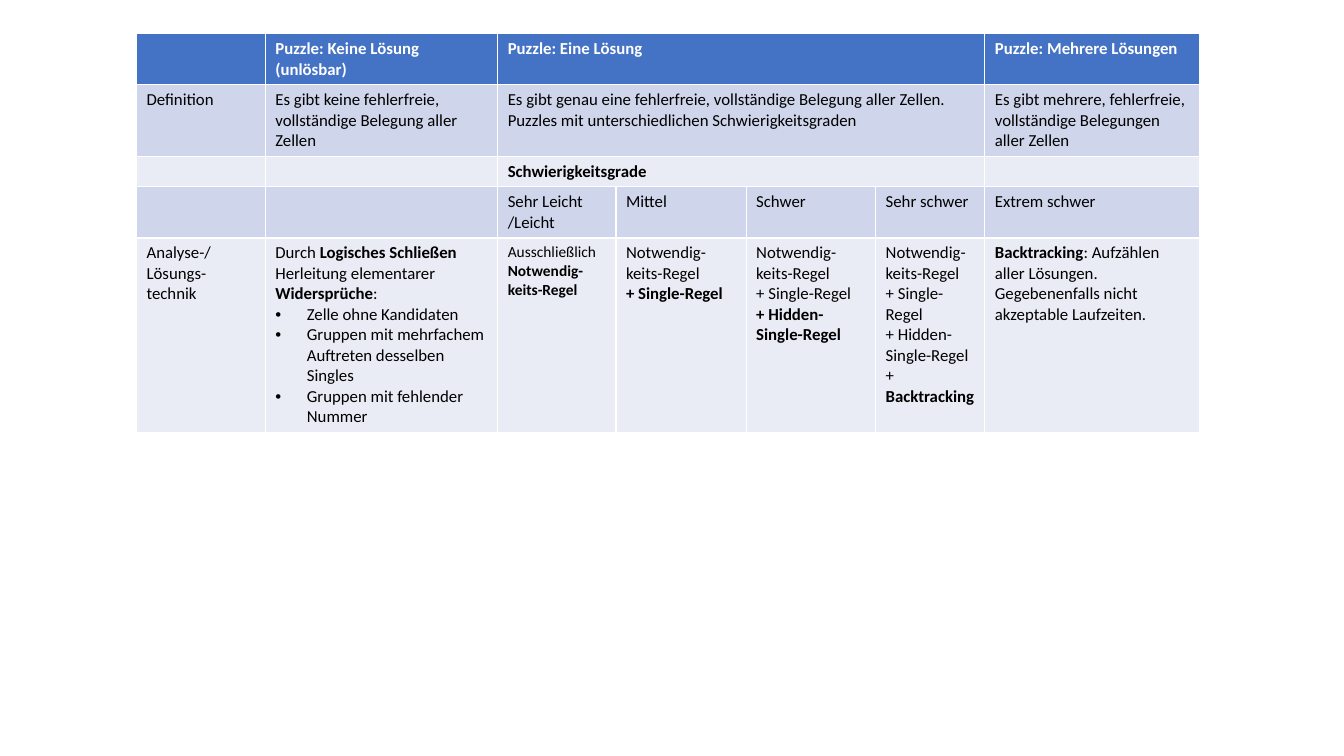
from lxml.etree import SubElement
from pptx import Presentation
from pptx.dml.color import RGBColor
from pptx.oxml.ns import qn
from pptx.util import Pt

HEADER_FILL = "4472C4"
BAND_FILLS = ["CFD5EA", "E9EBF5"]
COLUMN_WIDTHS = [92, 166, 84.5, 93, 92.5, 78, 153.5]
ROW_HEIGHTS = [36, 51, 21.6, 36, 138]
MERGED_ROWS = [0, 1, 2]
SMALL_CELL = (4, 2)
BULLET = "• "

CONTENT = [
    [
        "",
        "**Puzzle: Keine Lösung (unlösbar)**",
        "**Puzzle: Eine Lösung**",
        "", "", "",
        "**Puzzle: Mehrere Lösungen**",
    ],
    [
        "Definition",
        "Es gibt keine fehlerfreie, vollständige Belegung aller Zellen",
        "Es gibt genau eine fehlerfreie, vollständige Belegung aller Zellen. "
        "Puzzles mit unterschiedlichen Schwierigkeitsgraden",
        "", "", "",
        "Es gibt mehrere, fehlerfreie, vollständige Belegungen aller Zellen",
    ],
    ["", "", "**Schwierigkeitsgrade**", "", "", "", ""],
    ["", "", "Sehr Leicht /Leicht", "Mittel", "Schwer", "Sehr schwer", "Extrem schwer"],
    [
        "Analyse-/Lösungs-technik",
        "Durch **Logisches Schließen **Herleitung elementarer **Widersprüche**:\n"
        "• Zelle ohne Kandidaten\n"
        "• Gruppen mit mehrfachem Auftreten desselben Singles\n"
        "• Gruppen mit fehlender Nummer",
        "Ausschließlich **Notwendig-keits-Regel**",
        "Notwendig-\nkeits-Regel\n**+ Single-Regel**",
        "Notwendig-\nkeits-Regel\n+ Single-Regel\n**+ Hidden-Single-Regel**",
        "Notwendig-keits-Regel\n+ Single-Regel\n+ Hidden-Single-Regel\n+** Backtracking**",
        "**Backtracking**: Aufzählen aller Lösungen. "
        "Gegebenenfalls nicht akzeptable Laufzeiten.",
    ],
]


def color(value):
    return RGBColor.from_string(value)


class SlideBuilder:
    font_name = "Calibri"
    bullet_indent = Pt(22.5)

    def __init__(self, slide):
        self.slide = slide

    def table(self, left, top, widths, heights):
        frame = self.slide.shapes.add_table(
            len(heights), len(widths), Pt(left), Pt(top), Pt(sum(widths)), Pt(sum(heights))
        )
        table = frame.table
        for column, width in zip(table.columns, widths):
            column.width = Pt(width)
        for row, height in zip(table.rows, heights):
            row.height = Pt(height)
        return table

    def cell(self, cell, text, fill, text_color, size):
        cell.fill.solid()
        cell.fill.fore_color.rgb = color(fill)
        for index, line in enumerate(text.split("\n")):
            text_frame = cell.text_frame
            paragraph = text_frame.add_paragraph() if index else text_frame.paragraphs[0]
            if line.startswith(BULLET):
                self.bullet(paragraph)
            self.runs(paragraph, line.removeprefix(BULLET), text_color, size)

    def runs(self, paragraph, line, text_color, size):
        for index, part in enumerate(line.split("**")):
            if part:
                run = paragraph.add_run()
                run.text = part
                run.font.name = self.font_name
                run.font.size = Pt(size)
                run.font.bold = index % 2 == 1
                run.font.color.rgb = color(text_color)
        SubElement(paragraph._p, qn("a:endParaRPr"), sz=str(size * 100))

    def bullet(self, paragraph):
        properties = paragraph._p.get_or_add_pPr()
        properties.set("marL", str(self.bullet_indent))
        properties.set("indent", str(-self.bullet_indent))
        SubElement(properties, qn("a:buFont"), typeface="Arial")
        SubElement(properties, qn("a:buChar"), char=BULLET.strip())


def main():
    presentation = Presentation()
    presentation.slide_width = Pt(960)
    presentation.slide_height = Pt(540)
    slide = presentation.slides.add_slide(presentation.slide_layouts[6])
    builder = SlideBuilder(slide)

    table = builder.table(97.5, 24, COLUMN_WIDTHS, ROW_HEIGHTS)
    for row, texts in enumerate(CONTENT):
        fill = BAND_FILLS[(row - 1) % 2] if row else HEADER_FILL
        text_color = "000000" if row else "FFFFFF"
        for column, text in enumerate(texts):
            size = 11 if (row, column) == SMALL_CELL else 12
            builder.cell(table.cell(row, column), text, fill, text_color, size)
    for row in MERGED_ROWS:
        table.cell(row, 2).merge(table.cell(row, 5))

    presentation.save("out.pptx")


if __name__ == "__main__":
    main()
